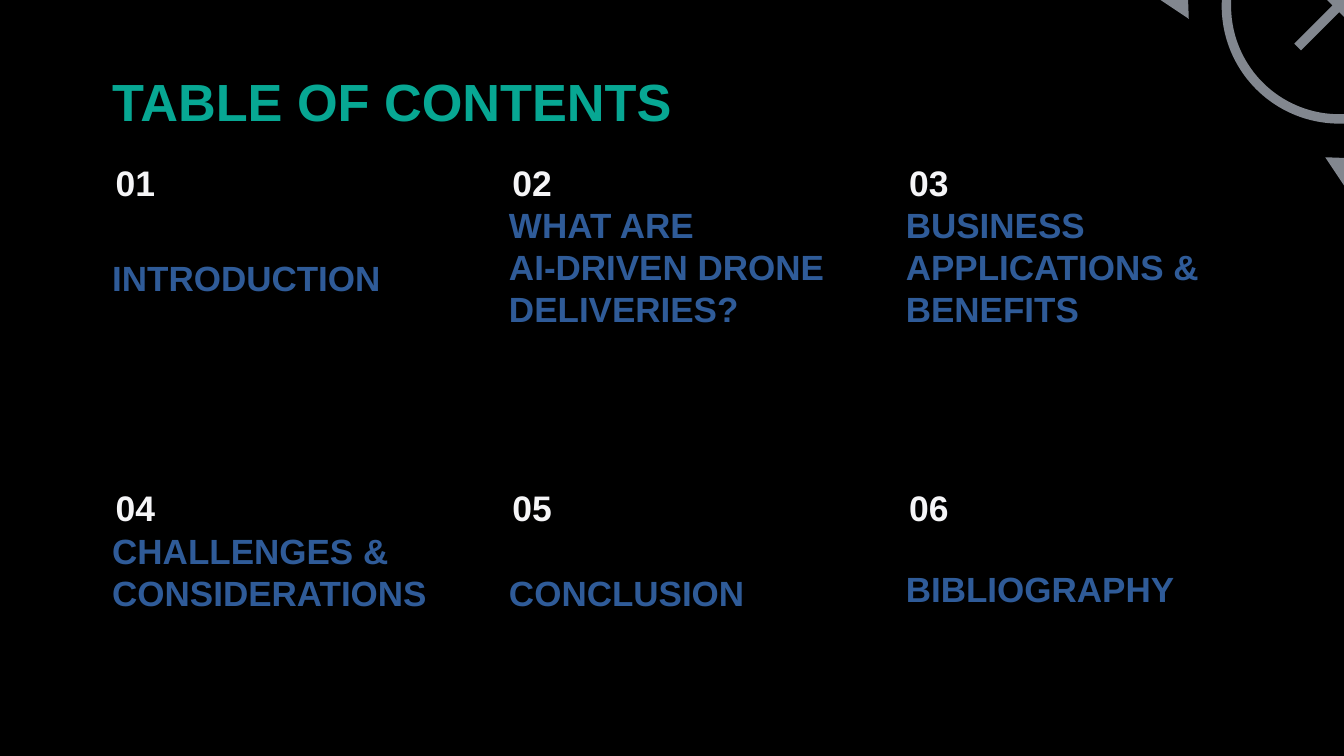
from math import acos, asin, cos, pi, sin

from lxml.etree import SubElement
from pptx import Presentation
from pptx.dml.color import RGBColor
from pptx.enum.text import MSO_ANCHOR, PP_ALIGN
from pptx.oxml.ns import qn
from pptx.util import Inches, Pt

COLUMN_LEFTS = [1.66 + 5.905 * column for column in range(3)]
ROW_TOPS = [2.37, 7.21]


def color(value):
    return RGBColor.from_string(value)


def arc(center_x, center_y, radius, steps=40):
    """Return points from the slide's top edge round to its right edge."""
    start = pi + asin(center_y / radius)
    end = acos((20 - center_x) / radius)
    angles = [start + (end - start) * step / steps for step in range(steps + 1)]
    return [(center_x + radius * cos(angle), center_y + radius * sin(angle)) for angle in angles]


class ContentsSlide:
    """Hold the style and the current slide, and add each kind of element."""

    font = "Arial"
    title_color = "07A793"
    number_color = "F5F5F7"
    topic_color = "2F5B98"
    ornament_color = "D5DEEB"

    def __init__(self, presentation):
        self.slide = presentation.slides.add_slide(presentation.slide_layouts[5])
        background = self.slide.background.fill
        background.solid()
        background.fore_color.rgb = color("000000")

    def place(self, shape, left, top, width, height, inset):
        shape.left, shape.top = Inches(left), Inches(top)
        shape.width, shape.height = Inches(width), Inches(height)
        frame = shape.text_frame
        frame.word_wrap = True
        frame.vertical_anchor = MSO_ANCHOR.TOP
        frame.margin_left, frame.margin_top = Inches(0.01), Inches(inset)
        frame.margin_right = frame.margin_bottom = 0
        return frame

    def box(self, left, top, width, height, inset=0.03):
        shape = self.slide.shapes.add_textbox(0, 0, 0, 0)
        return self.place(shape, left, top, width, height, inset)

    def set_text(self, paragraph, text, size, text_color):
        paragraph.text = text
        paragraph.alignment = PP_ALIGN.LEFT
        font = paragraph.font
        font.name, font.size, font.bold = self.font, Pt(size), True
        font.color.rgb = color(text_color)

    def title(self, text):
        frame = self.place(self.slide.shapes.title, 1.66, 1.01, 8.41, 0.96, 0.02)
        self.set_text(frame.paragraphs[0], text, 56, self.title_color)

    def number(self, left, top, text):
        frame = self.box(left + 0.05, top, 0.62, 0.66)
        self.set_text(frame.paragraphs[0], text, 38, self.number_color)

    def topic(self, left, top, width, text):
        frame = self.box(left, top, width, 0.66, 0.04)
        self.set_text(frame.paragraphs[0], text, 37.5, self.topic_color)

    def entry(self, left, top, width, height, number, lines):
        frame = self.box(left, top, width, height)
        heading = frame.paragraphs[0]
        heading._p.get_or_add_pPr().set("marL", str(Inches(0.05)))
        self.set_text(heading, number, 38, self.number_color)
        for line in lines:
            paragraph = frame.add_paragraph()
            paragraph.line_spacing = Pt(45)
            self.set_text(paragraph, line, 37.5, self.topic_color)

    def ornament(self, *outlines):
        builder = None
        for outline in outlines:
            points = [(Inches(x), Inches(y)) for x, y in outline]
            if builder is None:
                builder = self.slide.shapes.build_freeform(*points[0])
            else:
                builder.move_to(*points[0])
            builder.add_line_segments(points[1:], close=True)
        shape = builder.convert_to_shape()
        shape.shadow.inherit = False
        shape.line.fill.background()
        shape.fill.solid()
        shape.fill.fore_color.rgb = color(self.ornament_color)
        fill_color = shape._element.spPr.find(qn("a:solidFill"))[0]
        SubElement(fill_color, qn("a:alpha")).set("val", "61000")


def main():
    presentation = Presentation()
    presentation.slide_width, presentation.slide_height = Inches(20), Inches(11.25)
    contents = ContentsSlide(presentation)

    ring = arc(19.93, 0.09, 1.75) + arc(19.93, 0.09, 1.61)[::-1]
    hand = [(20, 0), (19.75, 0), (19.83, 0.08), (19.26, 0.65), (19.36, 0.75), (19.93, 0.18), (20, 0.25)]
    contents.ornament(hand, ring)
    contents.ornament([(17.69, 0.28), (17.27, 0), (17.68, 0)])
    contents.ornament([(20, 2.76), (19.72, 2.34), (20, 2.35)])

    contents.title("TABLE OF CONTENTS")
    first, second, third = COLUMN_LEFTS
    upper, lower = ROW_TOPS
    contents.number(first, upper, "01")
    contents.topic(first, 3.77, 4.06, "INTRODUCTION")
    contents.entry(second, upper, 4.76, 2.54, "02", ["WHAT ARE", "AI-DRIVEN DRONE DELIVERIES?"])
    contents.entry(third, upper, 4.47, 2.54, "03", ["BUSINESS APPLICATIONS & BENEFITS"])
    contents.entry(first, lower, 4.79, 1.92, "04", ["CHALLENGES & CONSIDERATIONS"])
    contents.number(second, lower, "05")
    contents.topic(second, 8.46, 3.57, "CONCLUSION")
    contents.number(third, lower, "06")
    contents.topic(third, 8.41, 4.06, "BIBLIOGRAPHY")
    presentation.save("out.pptx")


if __name__ == "__main__":
    main()
